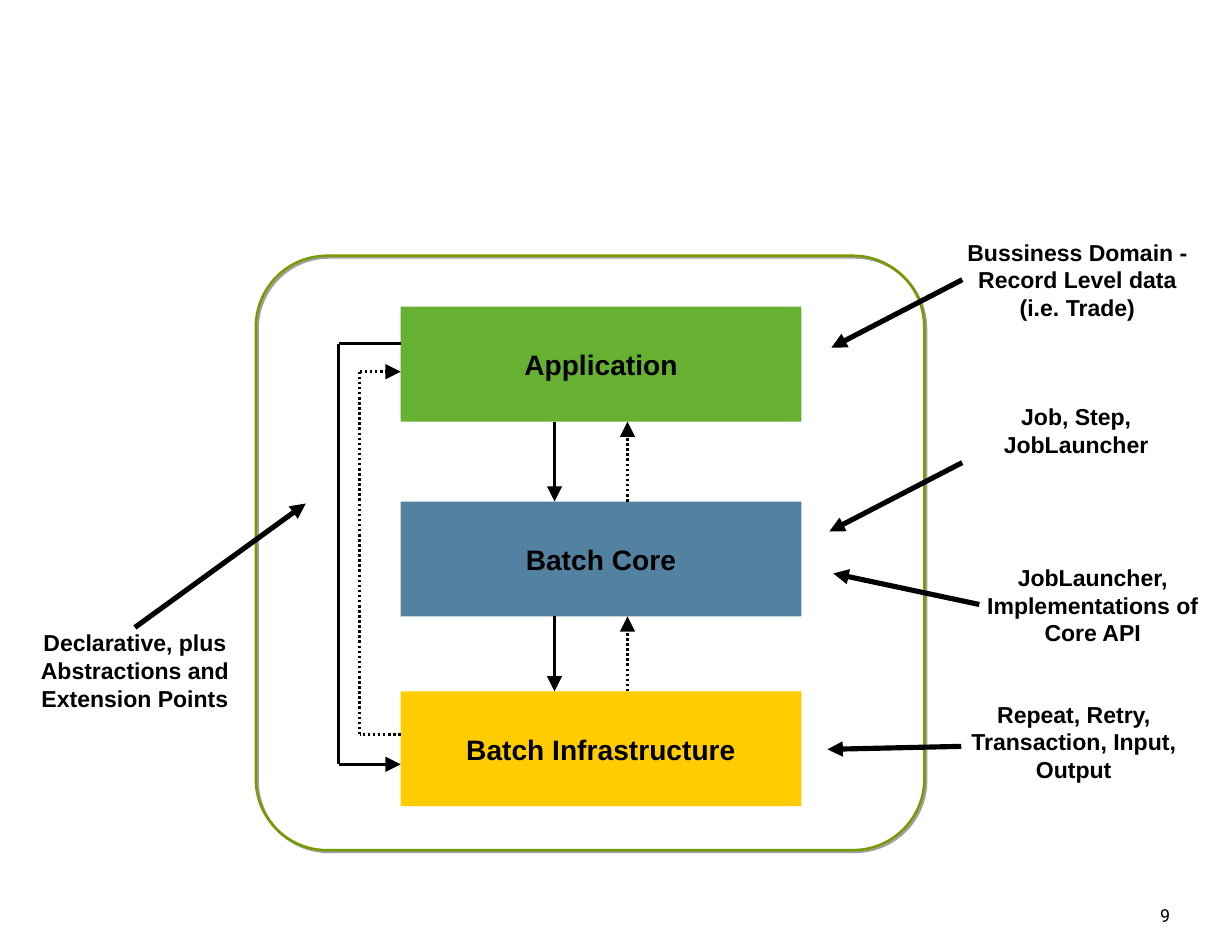
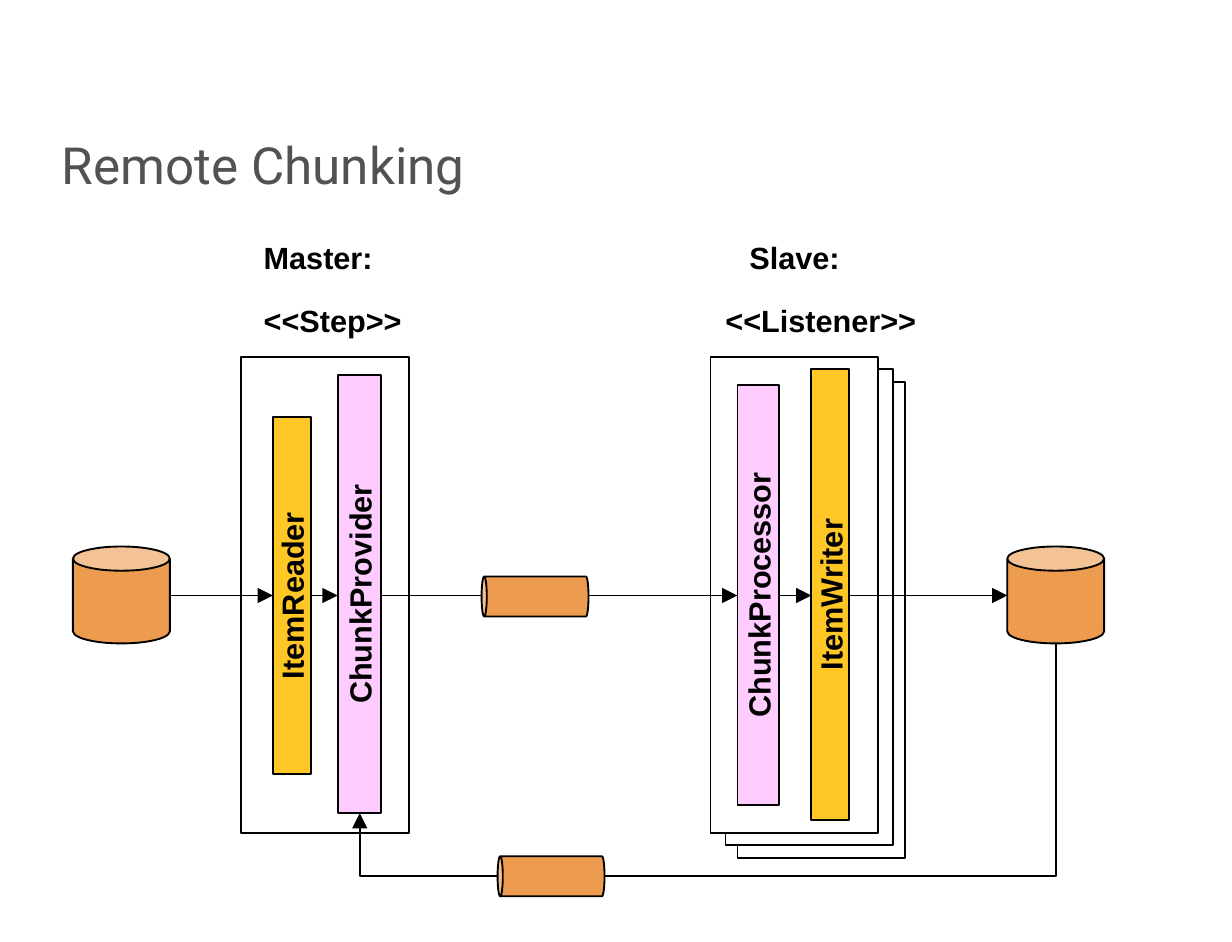
"""Build two diagrams of a batch framework: its layers and remote chunking."""
from itertools import pairwise

from lxml.etree import SubElement
from pptx import Presentation
from pptx.dml.color import RGBColor
from pptx.enum.dml import MSO_LINE
from pptx.enum.shapes import MSO_CONNECTOR, MSO_SHAPE
from pptx.enum.text import MSO_ANCHOR, PP_ALIGN
from pptx.oxml.ns import qn
from pptx.util import Cm, Pt

PX = 4964
SLIDE_WIDTH, SLIDE_HEIGHT = Cm(17), Cm(13)
BLACK, WHITE, GREY = "000000", "FFFFFF", "525252"
AMBER, PINK, ORANGE, OLIVE = "FFC726", "FFCCFF", "ED9B4F", "769B00"

FRAME = (256, 256, 669, 595)
LAYER_LEFT, LAYER_WIDTH, LAYER_HEIGHT = 401, 401, 115
LAYERS = [
    ("Application", 307, "66B132"),
    ("Batch Core", 502, "5382A1"),
    ("Batch Infrastructure", 692, "FFCC00"),
]
CALL_X, RETURN_X = 555, 628
CALL_LOOP = [(401, 344), (339, 344), (339, 765), (401, 765)]
RETURN_LOOP = [(401, 735), (360, 735), (360, 372), (401, 372)]
CALLOUTS = [
    ("Bussiness Domain - Record Level data (i.e. Trade)",
     (962, 237, 232, 86), [(963, 280), (832, 348)]),
    ("Job, Step, JobLauncher",
     (964, 400, 226, 61), [(963, 463), (830, 532)]),
    ("JobLauncher, Implementations of Core API",
     (980, 562, 227, 87), [(980, 605), (834, 574)]),
    ("Repeat, Retry, Transaction, Input, Output",
     (961, 699, 227, 87), [(962, 747), (828, 750)]),
    ("Declarative, plus Abstractions and Extension Points",
     (22, 633, 226, 76), [(135, 628), (306, 504)]),
]
PAGE_NUMBER = ("9", (1111, 901, 60, 30))

TITLE = ("Remote Chunking", (62, 37, 1109, 158))
HEADINGS = [
    ("Master:", 264, 238),
    ("<<Step>>", 264, 301),
    ("Slave:", 750, 238),
    ("<<Listener>>", 726, 301),
]
PANEL_SIZE = (168, 477)
PANELS = [(738, 382), (726, 369), (711, 357), (241, 357)]
BARS = [
    ("ItemReader", (273, 417, 38, 358), AMBER),
    ("ChunkProvider", (338, 375, 43, 439), PINK),
    ("ChunkProcessor", (738, 385, 42, 421), PINK),
    ("ItemWriter", (812, 369, 38, 452), AMBER),
]
FLOW_Y = 596
FLOWS = [(170, 273), (311, 338), (381, 738), (780, 812), (850, 1008)]
STORES = [(73, 547, 97, 97), (1008, 547, 97, 97)]
QUEUES = [(482, 577, 107, 40), (498, 857, 107, 40)]
REPLY_START, REPLY_END, REPLY_Y = (1057, 644), (360, 814), 877


def color(value):
    """Turn a hex string into a colour."""
    return RGBColor.from_string(value)


def emu(*lengths):
    """Turn px lengths into EMU."""
    return [round(length * PX) for length in lengths]


def write(shape, text, size=9, font="Arial", ink=BLACK, bold=True,
          align=PP_ALIGN.CENTER, anchor=MSO_ANCHOR.MIDDLE):
    """Fill a shape with one formatted paragraph."""
    frame = shape.text_frame
    frame.word_wrap = True
    frame.vertical_anchor = anchor
    frame.margin_left = frame.margin_right = 0
    frame.margin_top = frame.margin_bottom = 0
    paragraph = frame.paragraphs[0]
    paragraph.alignment = align
    run = paragraph.add_run()
    run.text = text
    run.font.name, run.font.size, run.font.bold = font, Pt(size), bold
    run.font.color.rgb = color(ink)


def add_label(slide, text, box, **style):
    """Add a text box."""
    write(slide.shapes.add_textbox(*emu(*box)), text, **style)


def add_block(slide, kind, box, fill=None, line=None, weight=0.75, turned=False):
    """Add a shape covering a box, optionally turned a quarter left."""
    left, top, width, height = box
    if turned:
        left += (width - height) / 2
        top += (height - width) / 2
        width, height = height, width
    shape = slide.shapes.add_shape(kind, *emu(left, top, width, height))
    shape.shadow.inherit = False
    shape.rotation = 270 if turned else 0
    if fill:
        shape.fill.solid()
        shape.fill.fore_color.rgb = color(fill)
    else:
        shape.fill.background()
    if line:
        shape.line.color.rgb = color(line)
        shape.line.width = Pt(weight)
    else:
        shape.line.fill.background()
    return shape


def add_line(slide, start, end, weight=0.75, dotted=False, arrow=True,
             kind=MSO_CONNECTOR.STRAIGHT):
    """Add a black connector."""
    connector = slide.shapes.add_connector(kind, *emu(*start, *end))
    connector.line.color.rgb = color(BLACK)
    connector.line.width = Pt(weight)
    if dotted:
        connector.line.dash_style = MSO_LINE.ROUND_DOT
    if arrow:
        SubElement(connector.line._get_or_add_ln(), qn("a:tailEnd"), type="triangle")
    SubElement(connector._element.spPr, qn("a:effectLst"))
    return connector


def add_route(slide, points, **style):
    """Join points with lines and put an arrowhead on the last one."""
    for start, end in pairwise(points):
        add_line(slide, start, end, arrow=end == points[-1], **style)


def add_reply(slide):
    """Add the elbow arrow that leaves downwards and comes back from below."""
    (start_x, start_y), (end_x, end_y) = REPLY_START, REPLY_END
    center_x, center_y = (start_x + end_x) / 2, (start_y + end_y) / 2
    half_width, half_height = (end_y - start_y) / 2, (start_x - end_x) / 2
    connector = add_line(
        slide, (center_x - half_width, center_y - half_height),
        (center_x + half_width, center_y + half_height), kind=MSO_CONNECTOR.ELBOW)
    properties = connector._element.spPr
    properties.find(qn("a:xfrm")).set("rot", "5400000")
    bend = round(100000 * (REPLY_Y - start_y) / (end_y - start_y))
    guides = properties.find(qn("a:prstGeom")).find(qn("a:avLst"))
    SubElement(guides, qn("a:gd"), name="adj1", fmla=f"val {bend}")


def add_shadow(shape):
    """Give a shape a small grey shadow down to the right."""
    effects = shape._element.spPr.find(qn("a:effectLst"))
    shadow = SubElement(effects, qn("a:outerShdw"), blurRad="0",
                        dist=str(Pt(1)), dir="2700000")
    tint = SubElement(shadow, qn("a:srgbClr"), val="808080")
    SubElement(tint, qn("a:alpha"), val="75000")


def build_layers(slide):
    """Draw the layer stack with its callouts."""
    frame = add_block(slide, MSO_SHAPE.ROUNDED_RECTANGLE, FRAME, line=OLIVE, weight=1)
    frame.adjustments[0] = 0.12
    add_shadow(frame)
    for name, top, fill in LAYERS:
        box = (LAYER_LEFT, top, LAYER_WIDTH, LAYER_HEIGHT)
        write(add_block(slide, MSO_SHAPE.RECTANGLE, box, fill), name, size=11)
    for (_, upper, _), (_, lower, _) in pairwise(LAYERS):
        bottom = upper + LAYER_HEIGHT
        add_line(slide, (CALL_X, bottom), (CALL_X, lower), weight=1)
        add_line(slide, (RETURN_X, lower), (RETURN_X, bottom), weight=1, dotted=True)
    add_route(slide, CALL_LOOP, weight=1)
    add_route(slide, RETURN_LOOP, weight=1, dotted=True)
    for text, box, points in CALLOUTS:
        add_label(slide, text, box)
        add_route(slide, points, weight=2)
    add_label(slide, *PAGE_NUMBER, size=7, font="Roboto", bold=False,
              align=PP_ALIGN.RIGHT)


def build_chunking(slide):
    """Draw the remote chunking flow."""
    add_label(slide, *TITLE, size=20, font="Roboto", ink=GREY, bold=False,
              align=PP_ALIGN.LEFT, anchor=MSO_ANCHOR.BOTTOM)
    for text, left, top in HEADINGS:
        add_label(slide, text, (left, top, 220, 40), size=12, align=PP_ALIGN.LEFT)
    for corner in PANELS:
        add_block(slide, MSO_SHAPE.RECTANGLE, corner + PANEL_SIZE, WHITE, BLACK)
    for name, box, fill in BARS:
        bar = add_block(slide, MSO_SHAPE.RECTANGLE, box, fill, BLACK, turned=True)
        write(bar, name, size=12)
    for start, end in FLOWS:
        add_line(slide, (start, FLOW_Y), (end, FLOW_Y))
    add_reply(slide)
    for boxes, turned, depth in ((STORES, False, 0.25), (QUEUES, True, 0.13)):
        for box in boxes:
            can = add_block(slide, MSO_SHAPE.CAN, box, ORANGE, BLACK, turned=turned)
            can.adjustments[0] = depth


def main():
    """Build and save the presentation."""
    presentation = Presentation()
    presentation.slide_width, presentation.slide_height = SLIDE_WIDTH, SLIDE_HEIGHT
    for build in (build_layers, build_chunking):
        build(presentation.slides.add_slide(presentation.slide_layouts[6]))
    presentation.save("out.pptx")


if __name__ == "__main__":
    main()
